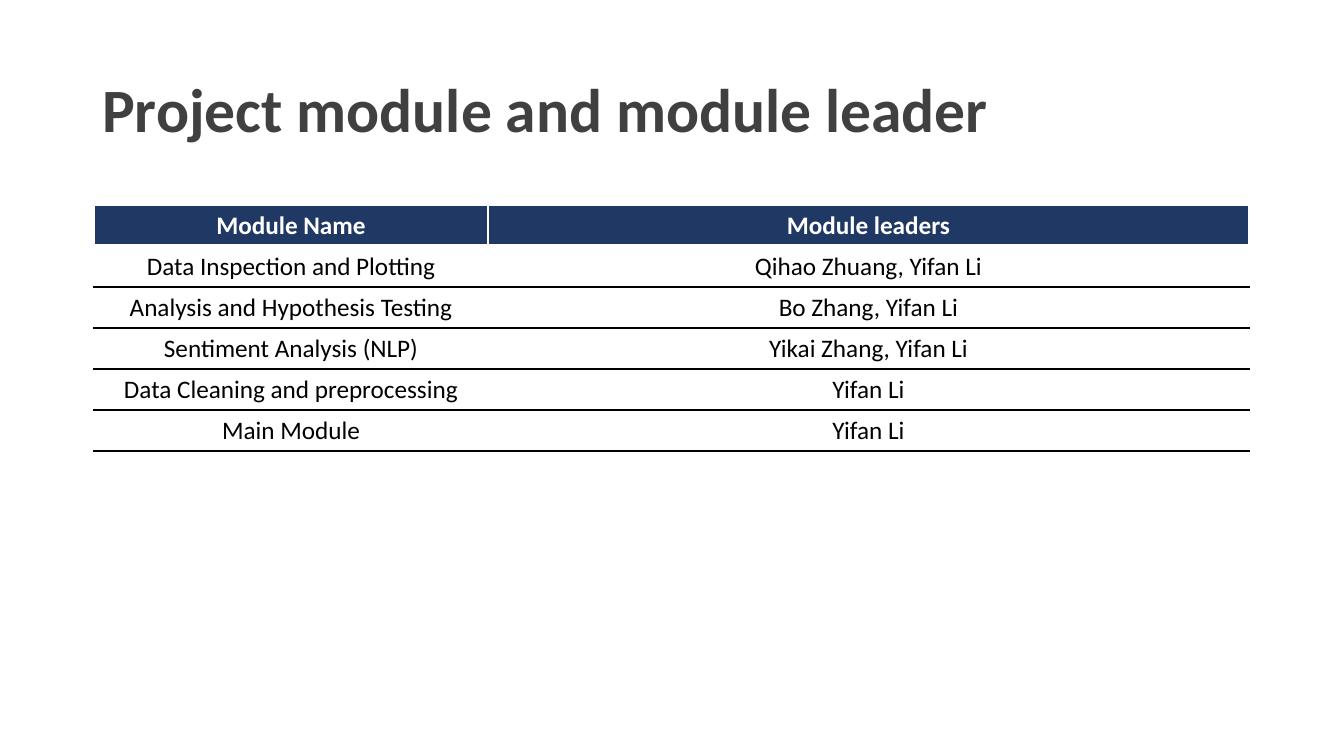
from lxml.etree import SubElement
from pptx import Presentation
from pptx.dml.color import RGBColor
from pptx.enum.text import MSO_ANCHOR, PP_ALIGN
from pptx.oxml.ns import qn
from pptx.util import Pt

TITLE = "Project module and module leader"
ROWS = [
    ("Module Name", "Module leaders"),
    ("Data Inspection and Plotting", "Qihao Zhuang, Yifan Li"),
    ("Analysis and Hypothesis Testing", "Bo Zhang, Yifan Li"),
    ("Sentiment Analysis (NLP)", "Yikai Zhang, Yifan Li"),
    ("Data Cleaning and preprocessing", "Yifan Li"),
    ("Main Module", "Yifan Li"),
]

WHITE = RGBColor(0xFF, 0xFF, 0xFF)
BLACK = RGBColor(0, 0, 0)
NAVY = RGBColor(0x20, 0x38, 0x64)
GREY = RGBColor(0x40, 0x40, 0x40)

SLIDE_SIZE = (1344, 756)
TITLE_BOX = (92, 40, 1159, 146)
TABLE_ORIGIN = (94, 205)
COLUMN_WIDTHS = (394, 761)
ROW_HEIGHT = 41

TITLE_FONT = {"name": "Calibri", "size": Pt(44), "bold": True}
HEADER_FONT = {"name": "Calibri", "size": Pt(18), "bold": True}
BODY_FONT = {**HEADER_FONT, "bold": False}


def px(length):
    return round(length * 914400 / 100.8)


def format_font(font, values, color):
    for name, value in values.items():
        setattr(font, name, value)
    font.color.rgb = color


def set_borders(cell, borders):
    """Draw cell borders from (tag, colour, points), given in schema order."""
    properties = cell._tc.get_or_add_tcPr()
    for index, (tag, color, points) in enumerate(borders):
        line = SubElement(properties, qn(tag), w=str(Pt(points)))
        fill = SubElement(line, qn("a:solidFill"))
        SubElement(fill, qn("a:srgbClr"), val=str(color))
        properties.insert(index, line)


def add_title(slide):
    title = slide.shapes.title
    title.left, title.top, title.width, title.height = map(px, TITLE_BOX)
    frame = title.text_frame
    frame.text = TITLE
    frame.word_wrap = True
    frame.vertical_anchor = MSO_ANCHOR.MIDDLE
    paragraph = frame.paragraphs[0]
    paragraph.alignment = PP_ALIGN.LEFT
    paragraph.line_spacing = 0.9
    format_font(paragraph.runs[0].font, TITLE_FONT, GREY)


def fill_cell(cell, text, row):
    header = row == 0
    cell.text = text
    cell.vertical_anchor = MSO_ANCHOR.MIDDLE
    cell.fill.solid()
    cell.fill.fore_color.rgb = NAVY if header else WHITE
    paragraph = cell.text_frame.paragraphs[0]
    paragraph.alignment = PP_ALIGN.CENTER
    format_font(paragraph.runs[0].font, HEADER_FONT if header else BODY_FONT,
                WHITE if header else BLACK)
    set_borders(cell, [
        ("a:lnL", WHITE, 1),
        ("a:lnR", WHITE, 1),
        ("a:lnT", BLACK if row > 1 else WHITE, 1),
        ("a:lnB", WHITE if header else BLACK, 3 if header else 1),
    ])


def add_module_table(slide):
    size = (sum(COLUMN_WIDTHS), ROW_HEIGHT * len(ROWS))
    table = slide.shapes.add_table(
        len(ROWS), len(COLUMN_WIDTHS), *map(px, TABLE_ORIGIN + size)).table
    table.horz_banding = False
    for column, width in zip(table.columns, COLUMN_WIDTHS):
        column.width = px(width)
    for row, texts in enumerate(ROWS):
        table.rows[row].height = px(ROW_HEIGHT)
        for column, text in enumerate(texts):
            fill_cell(table.cell(row, column), text, row)


def main():
    presentation = Presentation()
    presentation.slide_width, presentation.slide_height = map(px, SLIDE_SIZE)
    slide = presentation.slides.add_slide(presentation.slide_layouts[5])
    add_title(slide)
    add_module_table(slide)
    presentation.save("out.pptx")


if __name__ == "__main__":
    main()
